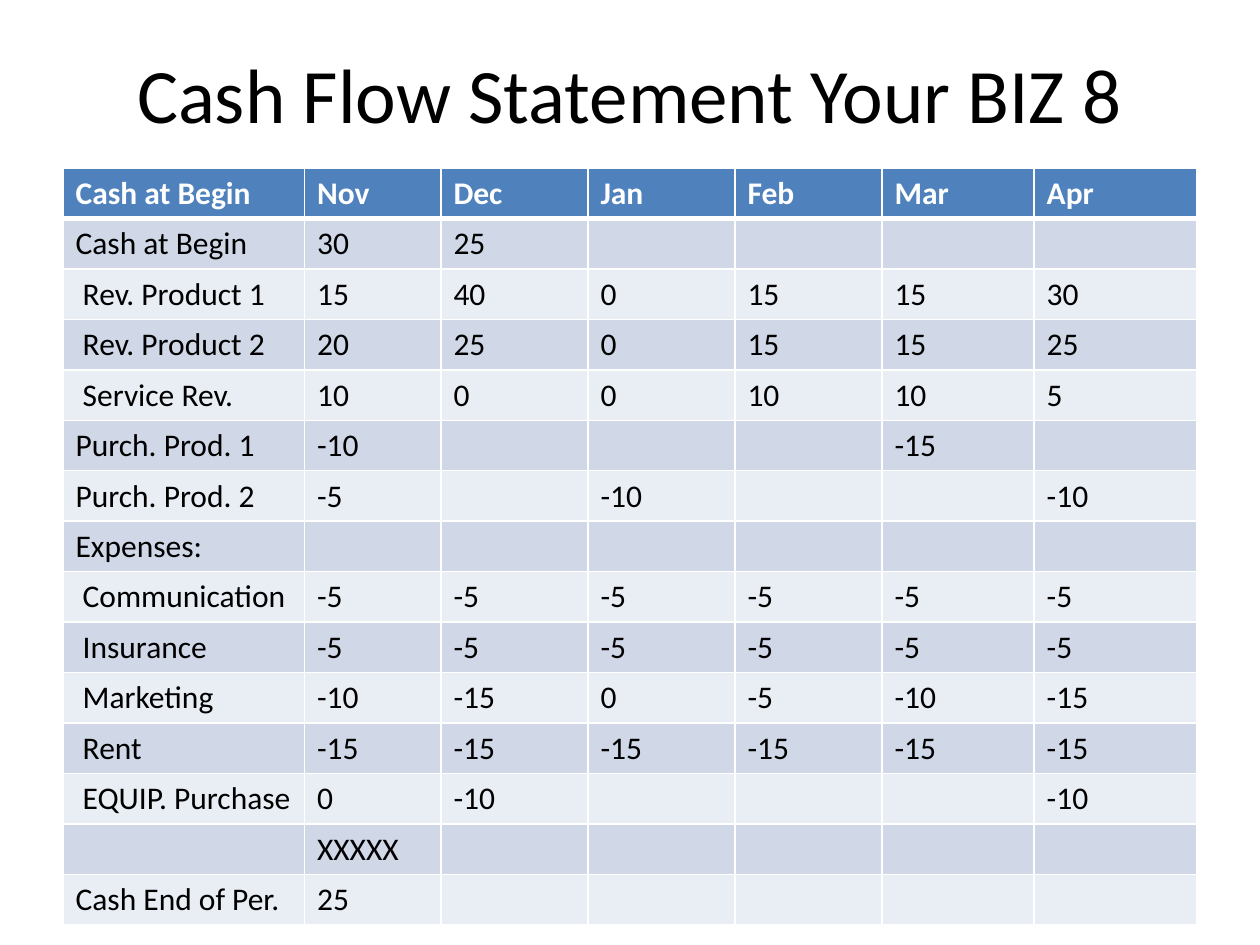
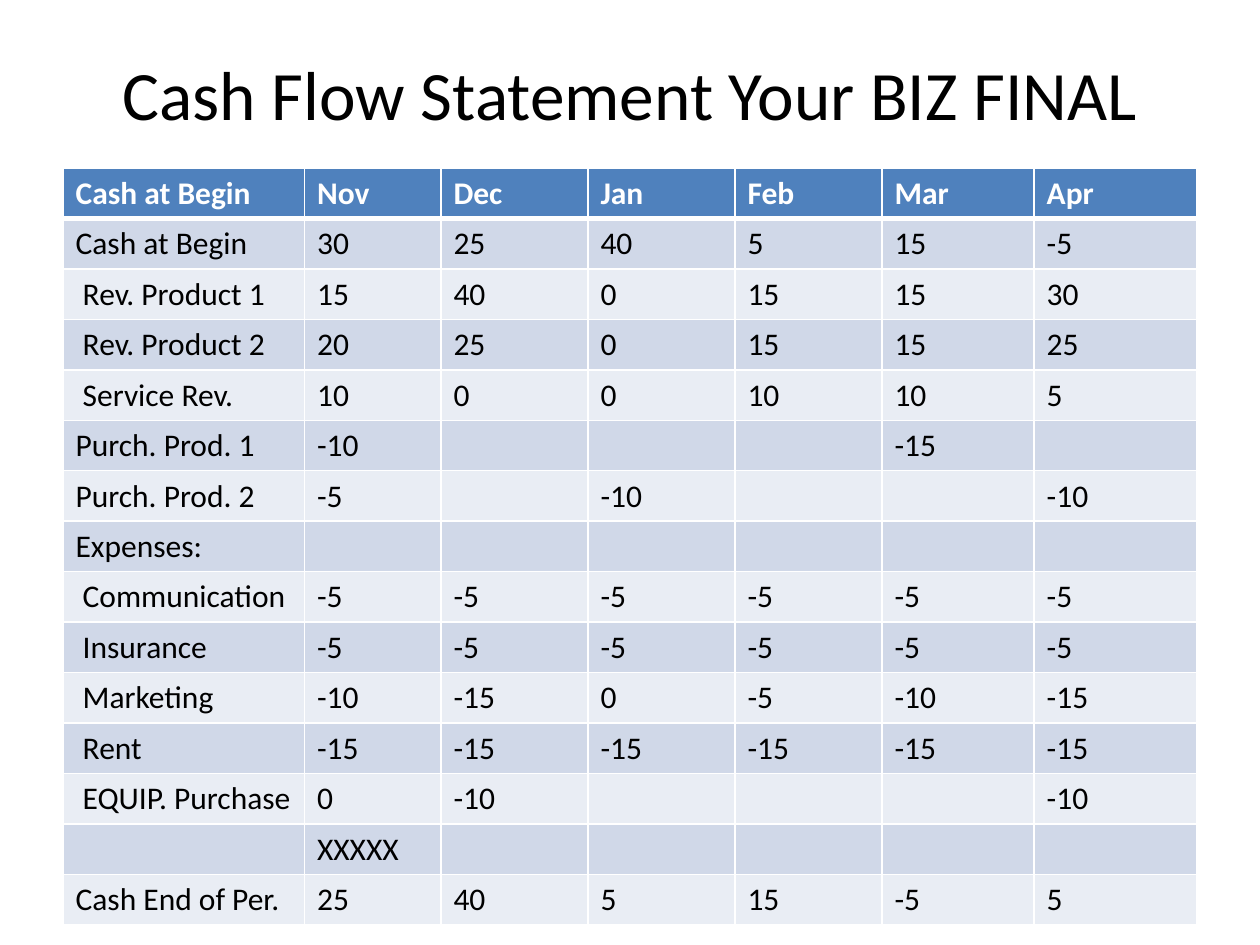
"""Build two cash flow statement slides that share one title style and one table style."""
import dataclasses

import lxml.etree
import pptx
import pptx.dml.color
import pptx.enum.text
import pptx.oxml.ns
import pptx.presentation
import pptx.slide
import pptx.table
import pptx.text.text
import pptx.util

Pt = pptx.util.Pt
RGBColor = pptx.dml.color.RGBColor

BLACK = RGBColor(0x00, 0x00, 0x00)
WHITE = RGBColor(0xFF, 0xFF, 0xFF)
HEADER_BLUE = RGBColor(0x4F, 0x81, 0xBD)
BAND_DARK = RGBColor(0xD0, 0xD8, 0xE8)
BAND_LIGHT = RGBColor(0xE9, 0xED, 0xF4)

FONT = "Calibri"
BODY_SIZE = 18
MARGIN = 36
CONTENT_WIDTH = 648
TITLE_TOP, TITLE_HEIGHT = 21.6, 62.64
TABLE_TOP, TABLE_HEIGHT = 96, 432
COLUMN_WIDTHS = (138, 78, 84, 84, 84, 87, 93)
THIN, THICK = 1, 3

HEADER = ("Cash at Begin", "Nov", "Dec", "Jan", "Feb", "Mar", "Apr")
ACTIVITY = (
    (" Rev. Product 1", "15", "40", "0", "15", "15", "30"),
    (" Rev. Product 2", "20", "25", "0", "15", "15", "25"),
    (" Service Rev.", "10", "0", "0", "10", "10", "5"),
    ("Purch. Prod. 1", "-10", "", "", "", "-15", ""),
    ("Purch. Prod. 2", "-5", "", "-10", "", "", "-10"),
    ("Expenses:", "", "", "", "", "", ""),
    (" Communication", "-5", "-5", "-5", "-5", "-5", "-5"),
    (" Insurance", "-5", "-5", "-5", "-5", "-5", "-5"),
    (" Marketing", "-10", "-15", "0", "-5", "-10", "-15"),
    (" Rent", "-15", "-15", "-15", "-15", "-15", "-15"),
    (" EQUIP. Purchase", "0", "-10", "", "", "", "-10"),
    ("", "XXXXX", "", "", "", "", ""),
)


@dataclasses.dataclass(frozen=True)
class Statement:
    """A statement slide: its title and the balances around the shared activity."""

    title: str
    title_size: float
    opening: tuple[str, ...]
    closing: tuple[str, ...]

    def rows(self) -> tuple[tuple[str, ...], ...]:
        """Return every table row from header to closing balance."""
        return (
            HEADER,
            ("Cash at Begin", *self.opening),
            *ACTIVITY,
            ("Cash End of Per.", *self.closing),
        )


STATEMENTS = (
    Statement(
        "Cash Flow Statement Your BIZ 8", 44,
        ("30", "25", "", "", "", ""),
        ("25", "", "", "", "", ""),
    ),
    Statement(
        "Cash Flow Statement Your BIZ FINAL", 39.6,
        ("30", "25", "40", "5", "15", "-5"),
        ("25", "40", "5", "15", "-5", "5"),
    ),
)


def add_run(paragraph: pptx.text.text._Paragraph, text: str, size: float,
            color: RGBColor, bold: bool = False) -> None:
    """Append one formatted run to a paragraph."""
    run = paragraph.add_run()
    run.text = text
    run.font.name = FONT
    run.font.size = Pt(size)
    run.font.bold = bold
    run.font.color.rgb = color


def add_title(slide: pptx.slide.Slide, statement: Statement) -> None:
    """Draw the centred slide title."""
    shape = slide.shapes.add_textbox(
        Pt(MARGIN), Pt(TITLE_TOP), Pt(CONTENT_WIDTH), Pt(TITLE_HEIGHT))
    frame = shape.text_frame
    frame.word_wrap = True
    frame.vertical_anchor = pptx.enum.text.MSO_ANCHOR.MIDDLE
    paragraph = frame.paragraphs[0]
    paragraph.alignment = pptx.enum.text.PP_ALIGN.CENTER
    add_run(paragraph, statement.title, statement.title_size, BLACK)


def set_borders(cell: pptx.table._Cell, top: float, bottom: float) -> None:
    """Give a cell white borders, thin at the sides."""
    qualify = pptx.oxml.ns.qn
    properties = cell._tc.get_or_add_tcPr()
    edges = (("a:lnL", THIN), ("a:lnR", THIN), ("a:lnT", top), ("a:lnB", bottom))
    for position, (tag, width) in enumerate(edges):
        line = lxml.etree.Element(qualify(tag), w=str(Pt(width)))
        fill = lxml.etree.SubElement(line, qualify("a:solidFill"))
        lxml.etree.SubElement(fill, qualify("a:srgbClr"), val=str(WHITE))
        properties.insert(position, line)


def add_statement_table(slide: pptx.slide.Slide, statement: Statement) -> None:
    """Draw the statement as a banded table."""
    rows = statement.rows()
    table = slide.shapes.add_table(
        len(rows), len(HEADER), Pt(MARGIN), Pt(TABLE_TOP),
        Pt(CONTENT_WIDTH), Pt(TABLE_HEIGHT)).table
    for column, width in zip(table.columns, COLUMN_WIDTHS):
        column.width = Pt(width)
    for row_index, values in enumerate(rows):
        is_header = row_index == 0
        band = BAND_DARK if row_index % 2 else BAND_LIGHT
        for column_index, value in enumerate(values):
            cell = table.cell(row_index, column_index)
            cell.fill.solid()
            cell.fill.fore_color.rgb = HEADER_BLUE if is_header else band
            set_borders(cell, THICK if row_index == 1 else THIN,
                        THICK if is_header else THIN)
            if value:
                add_run(cell.text_frame.paragraphs[0], value, BODY_SIZE,
                        WHITE if is_header else BLACK, is_header)


def add_statement_slide(presentation: pptx.presentation.Presentation,
                        statement: Statement) -> None:
    """Add one slide with its title and table."""
    slide = presentation.slides.add_slide(presentation.slide_layouts[6])
    slide.background.fill.solid()
    slide.background.fill.fore_color.rgb = WHITE
    add_title(slide, statement)
    add_statement_table(slide, statement)


def main() -> None:
    """Build and save the presentation."""
    presentation = pptx.Presentation()
    presentation.slide_width = Pt(720)
    presentation.slide_height = Pt(540)
    for statement in STATEMENTS:
        add_statement_slide(presentation, statement)
    presentation.save("out.pptx")


main()
